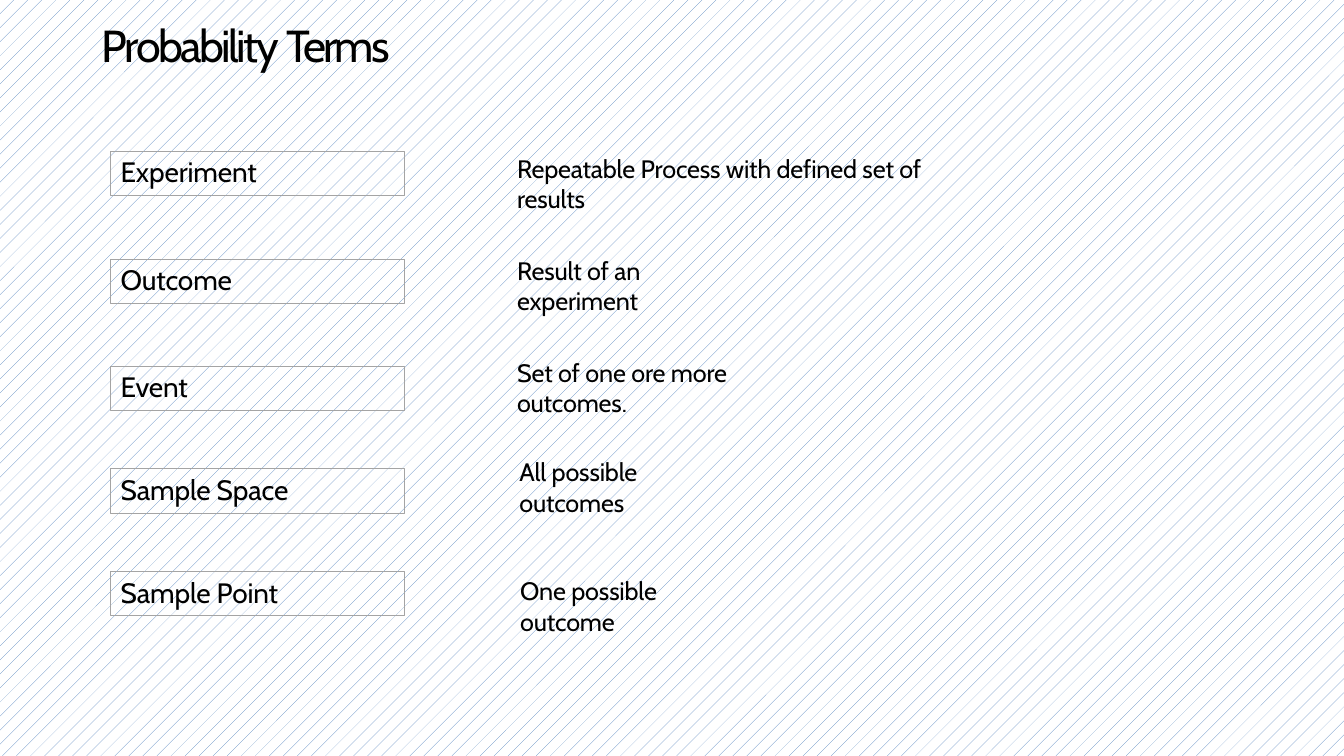
from pptx import Presentation
from pptx.dml.color import RGBColor
from pptx.enum.dml import MSO_PATTERN
from pptx.enum.shapes import MSO_SHAPE
from pptx.enum.text import MSO_ANCHOR, MSO_AUTO_SIZE, PP_ALIGN
from pptx.util import Cm, Pt

RECT = MSO_SHAPE.RECTANGLE
DOTS = MSO_PATTERN.PERCENT_5
TOP, LEFT = MSO_ANCHOR.TOP, PP_ALIGN.LEFT
GROW = MSO_AUTO_SIZE.SHAPE_TO_FIT_TEXT

# Content: title runs carry their letter spacing in hundredths of a point
TITLE = [("Probability ", -180), ("Terms", -220)]

# term, term top, definition, then its left, top and width in cm
TERMS = [
    ("Experiment", 3.81, "Repeatable Process with defined set of results", 13, 3.84, 11.94),
    ("Outcome", 6.53, "Result of an experiment", 13, 6.4, 6.22),
    ("Event", 9.22, "Set of one ore more outcomes.", 13, 8.97, 8.08),
    ("Sample Space", 11.81, "All possible outcomes", 13.06, 11.48, 5.66),
    ("Sample Point", 14.4, "One possible outcome", 13.08, 14.48, 5.84),
]
TERM_LEFT, TERM_WIDTH, TERM_HEIGHT = 2.79, 7.39, 1.12
DEFINITION_HEIGHT = 0.84
TRACKING = -10

THEME = {
    "font": "Cabin",
    "text": RGBColor(0x00, 0x00, 0x00),
    "border": RGBColor(0xA4, 0xA4, 0xA4),
    "pattern": RGBColor(0x4F, 0x81, 0xBD),
    "paper": RGBColor(0xFF, 0xFF, 0xFF),
    "title": Pt(32),
    "term": Pt(20),
    "definition": Pt(18),
}


def write(sp, runs, size, indent, inset_top):
    """Fill a shape with one left-aligned line of spaced runs."""
    tf = sp.text_frame
    tf.word_wrap = True
    tf.auto_size = GROW
    tf.vertical_anchor = TOP
    tf.margin_left, tf.margin_top = Cm(indent), Cm(inset_top)
    tf.margin_right = tf.margin_bottom = 0
    p = tf.paragraphs[0]
    p.alignment = LEFT
    p.font.name = THEME["font"]
    p.font.size = THEME[size]
    p.font.color.rgb = THEME["text"]
    for text, spacing in runs:
        r = p.add_run()
        r.text = text
        r.font._element.set("spc", str(spacing))


def main():
    prs = Presentation()
    prs.slide_width, prs.slide_height = Cm(33.87), Cm(19.05)
    s = prs.slides.add_slide(prs.slide_layouts[5])

    # Patterned background
    fill = s.background.fill
    fill.patterned()
    fill.pattern = DOTS
    fill.fore_color.rgb = THEME["pattern"]
    fill.back_color.rgb = THEME["paper"]

    # Title
    title = s.shapes.title
    title.left, title.top, title.width, title.height = Cm(2.54), Cm(0.41), Cm(7.9), Cm(1.42)
    write(title, TITLE, "title", 0.03, 0.03)

    # Framed terms with their definitions
    for term, term_top, definition, left, top, width in TERMS:
        sp = s.shapes.add_shape(RECT, Cm(TERM_LEFT), Cm(term_top),
                                Cm(TERM_WIDTH), Cm(TERM_HEIGHT))
        sp.shadow.inherit = False
        sp.fill.background()
        sp.line.color.rgb = THEME["border"]
        sp.line.width = Pt(0.48)
        write(sp, [(term, TRACKING)], "term", 0.25, 0.09)

        box = s.shapes.add_textbox(Cm(left), Cm(top), Cm(width), Cm(DEFINITION_HEIGHT))
        write(box, [(definition, TRACKING)], "definition", 0.03, 0.03)

    prs.save("out.pptx")


if __name__ == "__main__":
    main()
